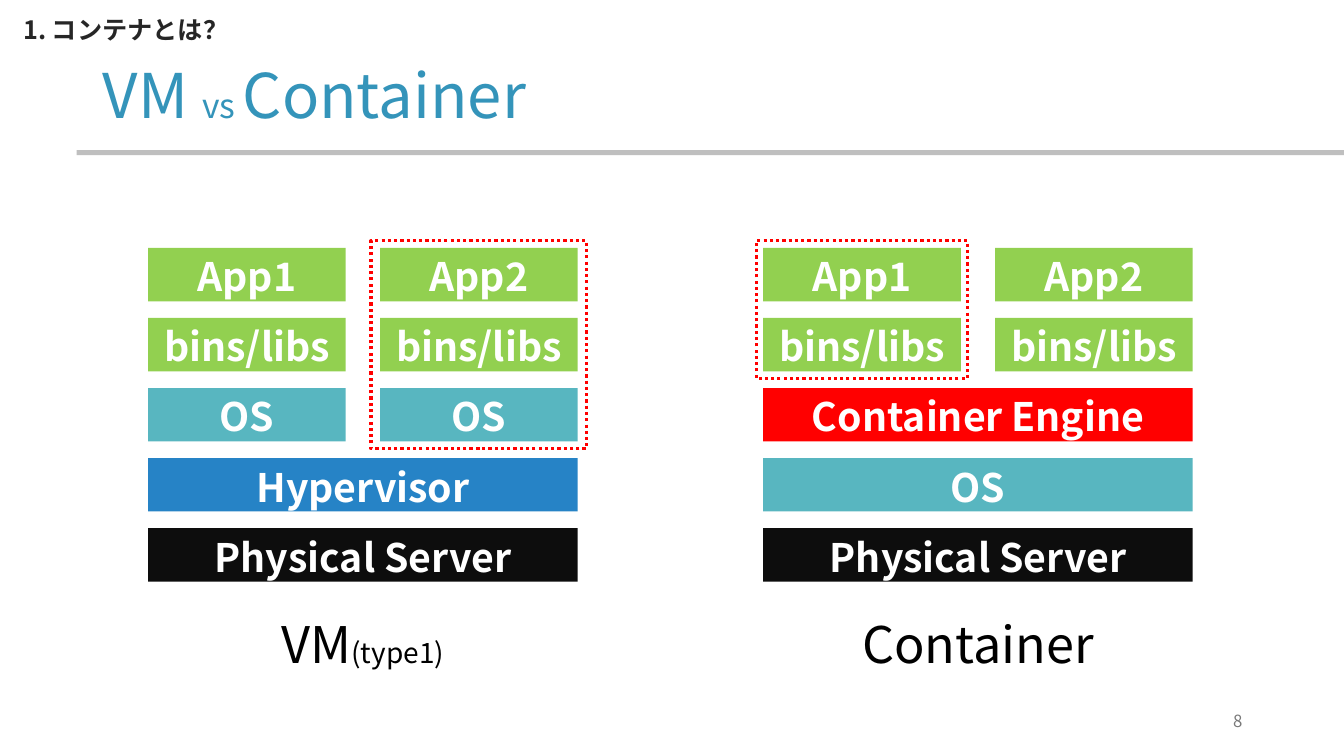
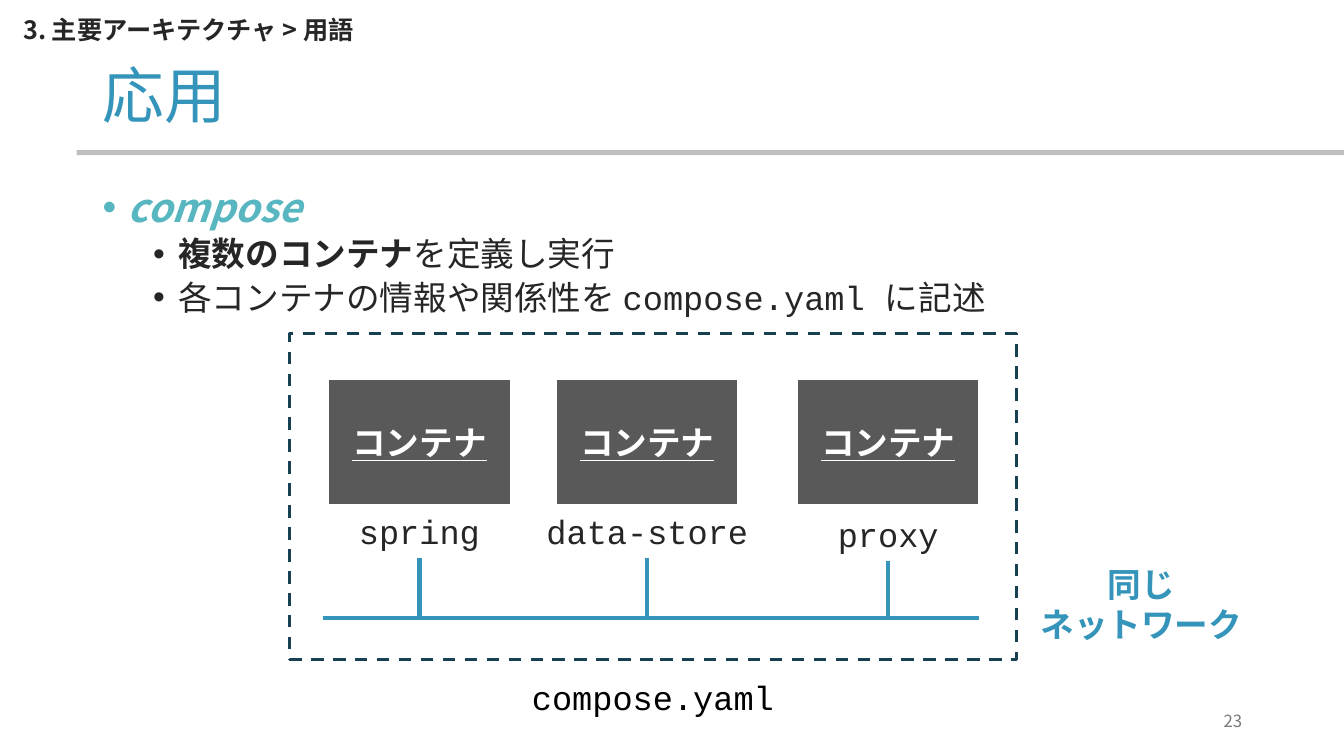
from dataclasses import dataclass
from typing import NamedTuple, Sequence

from lxml import etree
from pptx import Presentation
from pptx import util as u
from pptx.dml.color import RGBColor
from pptx.enum import dml, shapes, text
from pptx.oxml.ns import qn


@dataclass(frozen=True)
class Theme:
    """Colours, fonts, and type sizes in points."""
    accent: str = "3494BA"
    teal: str = "58B6C0"
    blue: str = "2683C6"
    green: str = "92D050"
    red: str = "FF0000"
    near_black: str = "0D0D0D"
    black: str = "000000"
    ink: str = "262626"
    dark_gray: str = "595959"
    page_gray: str = "797979"
    rule_gray: str = "BFBFBF"
    navy: str = "174152"
    white: str = "FFFFFF"
    sans: str = "Noto Sans CJK JP"
    mono: str = "Courier New"
    title: int = 44
    caption: int = 36
    heading: int = 28
    body: int = 24
    note: int = 20
    section: int = 18
    page: int = 12


THEME = Theme()
WIDTH, HEIGHT = 13.33, 7.5
ALIGN = text.PP_ALIGN
ANCHOR = text.MSO_ANCHOR
DASH = dml.MSO_LINE


class Box(NamedTuple):
    left: float
    top: float
    width: float
    height: float

    @property
    def emu(self) -> list[int]:
        return [u.Inches(length) for length in self]

    def grown(self, x: float, y: float) -> "Box":
        return Box(self.left - x, self.top - y, self.width + 2 * x, self.height + 2 * y)


@dataclass(frozen=True)
class Run:
    """Text whose unset format comes from the call that writes it."""
    text: str
    size: int | None = None
    color: str | None = None
    font: str | None = None
    bold: bool | None = None
    italic: bool | None = None


@dataclass(frozen=True)
class Grid:
    left: float
    top: float
    column_pitch: float
    row_pitch: float
    cell_width: float
    cell_height: float

    def box(self, column: int, row: int, columns: int = 1, rows: int = 1) -> Box:
        return Box(self.left + column * self.column_pitch,
                   self.top + row * self.row_pitch,
                   (columns - 1) * self.column_pitch + self.cell_width,
                   (rows - 1) * self.row_pitch + self.cell_height)


class Layer(NamedTuple):
    labels: Sequence[str]
    color: str


class Stack(NamedTuple):
    left: float
    layers: Sequence[Layer]
    caption: Sequence[Run]
    framed_column: int
    framed_rows: int
    frame_margin: float


class Service(NamedTuple):
    name: str
    center: float
    drop: float  # how far the label and its link sit below the row


APP = Layer(("App1", "App2"), THEME.green)
LIBS = Layer(("bins/libs", "bins/libs"), THEME.green)
SERVER = Layer(("Physical Server",), THEME.near_black)
STACKS = (
    Stack(1.47,
          (APP, LIBS, Layer(("OS", "OS"), THEME.teal),
           Layer(("Hypervisor",), THEME.blue), SERVER),
          (Run("VM"), Run("(type1)", size=THEME.note)), 1, 3, 0.09),
    Stack(7.57,
          (APP, LIBS, Layer(("Container Engine",), THEME.red),
           Layer(("OS",), THEME.teal), SERVER),
          (Run("Container"),), 0, 2, 0.07),
)
SERVICES = (
    Service("spring", 4.16, 0),
    Service("data-store", 6.42, 0),
    Service("proxy", 8.81, 0.03),
)


def rgb(color: str) -> RGBColor:
    return RGBColor.from_string(color)


def write_text(shape, paragraphs: Sequence[Sequence[Run]], *, size: int,
               color: str = THEME.ink, font: str = THEME.sans, bold: bool = False,
               italic: bool = False, underline: bool = False, align=ALIGN.LEFT,
               anchor=ANCHOR.TOP, left_inset: float = 0.1, top_inset: float = 0.05,
               line_spacing: float = 1.0) -> None:
    frame = shape.text_frame
    frame.word_wrap = True
    frame.vertical_anchor = anchor
    frame.margin_left, frame.margin_top = u.Inches(left_inset), u.Inches(top_inset)
    for index, runs in enumerate(paragraphs):
        paragraph = frame.add_paragraph() if index else frame.paragraphs[0]
        paragraph.alignment = align
        paragraph.line_spacing = line_spacing
        for item in runs:
            run = paragraph.add_run()
            run.text = item.text
            style = run.font
            style.size = u.Pt(item.size or size)
            style.name = item.font or font
            style.color.rgb = rgb(item.color or color)
            style.bold = bold if item.bold is None else item.bold
            style.italic = italic if item.italic is None else item.italic
            style.underline = underline
            east_asian = etree.Element(qn("a:ea"), typeface=THEME.sans)
            run._r.rPr.find(qn("a:latin")).addnext(east_asian)


def add_text(slide, box: Box, *paragraphs: Sequence[Run], **style):
    shape = slide.shapes.add_textbox(*box.emu)
    write_text(shape, paragraphs, **style)
    return shape


def add_rectangle(slide, box: Box, *, fill: str | None = None, line: str | None = None,
                  dash=None):
    shape = slide.shapes.add_shape(shapes.MSO_SHAPE.RECTANGLE, *box.emu)
    shape.shadow.inherit = False
    if fill:
        shape.fill.solid()
        shape.fill.fore_color.rgb = rgb(fill)
    else:
        shape.fill.background()
    if line:
        shape.line.color.rgb = rgb(line)
        shape.line.width = u.Pt(2.25)
        shape.line.dash_style = dash
    else:
        shape.line.fill.background()
    return shape


def add_line(slide, x1: float, y1: float, x2: float, y2: float) -> None:
    ends = [u.Inches(length) for length in (x1, y1, x2, y2)]
    line = slide.shapes.add_connector(shapes.MSO_CONNECTOR.STRAIGHT, *ends)
    line.line.color.rgb = rgb(THEME.accent)
    line.line.width = u.Pt(3)
    etree.SubElement(line._element.spPr, qn("a:effectLst"))


def add_bullet(paragraph, level: int) -> None:
    paragraph.level = level
    paragraph.space_before = u.Pt(5 if level else 10)
    properties = paragraph._p.get_or_add_pPr()
    properties.set("marL", str(u.Inches(0.25 + 0.5 * level)))
    properties.set("indent", str(u.Inches(-0.25)))
    etree.SubElement(properties, qn("a:buFont"), typeface="Arial")
    etree.SubElement(properties, qn("a:buChar"), char="•")


def add_base_slide(presentation, section: str, title: Sequence[Run], page: int):
    """Add a slide with the section name, title, rule and page number."""
    slide = presentation.slides.add_slide(presentation.slide_layouts[6])
    add_rectangle(slide, Box(0.76, 1.49, WIDTH - 0.76, 0.05), fill=THEME.rule_gray)
    add_text(slide, Box(0.92, 0.4, 11.5, 1.09), title, size=THEME.title,
             color=THEME.accent, anchor=ANCHOR.MIDDLE, top_inset=0.12, line_spacing=0.9)
    add_text(slide, Box(0.08, 0.09, 4.02, 0.4), [Run(section)], size=THEME.section,
             bold=True, left_inset=0.15)
    add_text(slide, Box(9.42, 6.95, 3, 0.4), [Run(str(page))], size=THEME.page,
             color=THEME.page_gray, align=ALIGN.RIGHT, anchor=ANCHOR.MIDDLE)
    return slide


def draw_stack(slide, stack: Stack) -> None:
    grid = Grid(stack.left, 2.46, 2.3, (5.24 - 2.46) / 4, 1.96, 0.53)
    for row, layer in enumerate(stack.layers):
        span = 2 // len(layer.labels)
        for column, label in enumerate(layer.labels):
            block = add_rectangle(slide, grid.box(column, row, span), fill=layer.color)
            write_text(block, [[Run(label)]], size=THEME.heading, color=THEME.white,
                       bold=True, align=ALIGN.CENTER, anchor=ANCHOR.MIDDLE,
                       top_inset=0.08)
    full_width = grid.box(0, 0, 2).width
    add_text(slide, Box(stack.left, 6.03, full_width, 0.71), stack.caption,
             size=THEME.caption, color=THEME.black, align=ALIGN.CENTER)
    framed = grid.box(stack.framed_column, 0, rows=stack.framed_rows)
    add_rectangle(slide, framed.grown(stack.frame_margin, 0.07), line=THEME.red,
                  dash=DASH.ROUND_DOT)


def draw_service(slide, service: Service) -> None:
    box = Box(service.center - 0.91, 3.75, 1.82, 1.27)
    container = add_rectangle(slide, box, fill=THEME.dark_gray, line=THEME.white)
    write_text(container, [[Run("コンテナ")]], size=THEME.body, color=THEME.white,
               bold=True, underline=True, align=ALIGN.CENTER, anchor=ANCHOR.MIDDLE)
    add_text(slide, Box(service.center - 1.1, 5.02 + service.drop, 2.2, 0.5),
             [Run(service.name)], size=THEME.body, font=THEME.mono, align=ALIGN.CENTER)
    add_line(slide, service.center, 5.54 + service.drop, service.center, 6.13)


def build_comparison(presentation) -> None:
    title = (Run("VM "), Run("vs ", size=THEME.body), Run("Container"))
    slide = add_base_slide(presentation, "1. コンテナとは？", title, 8)
    for stack in STACKS:
        draw_stack(slide, stack)


def build_compose(presentation) -> None:
    slide = add_base_slide(presentation, "3. 主要アーキテクチャ > 用語", [Run("応用")], 23)
    add_rectangle(slide, Box(2.87, 3.31, 7.21, 3.23), line=THEME.navy, dash=DASH.DASH)
    body = add_text(
        slide, Box(0.92, 1.82, 11.5, 1.4),
        [Run("compose", size=THEME.heading, color=THEME.teal, bold=True, italic=True)],
        [Run("複数のコンテナ", bold=True), Run("を定義し実行")],
        [Run("各コンテナの情報や関係性を "), Run("compose.yaml ", font=THEME.mono),
         Run("に記述")],
        size=THEME.body, line_spacing=0.9)
    for paragraph, level in zip(body.text_frame.paragraphs, (0, 1, 1)):
        add_bullet(paragraph, level)
    for service in SERVICES:
        draw_service(slide, service)
    add_line(slide, 3.2, 6.13, 9.71, 6.13)
    add_text(slide, Box(5.17, 6.67, 2.61, 0.5), [Run("compose.yaml")], size=THEME.body,
             color=THEME.black, font=THEME.mono, align=ALIGN.CENTER)
    add_text(slide, Box(10.08, 5.54, 2.48, 0.91), [Run("同じ")], [Run("ネットワーク")],
             size=THEME.body, color=THEME.accent, font=THEME.mono, bold=True,
             align=ALIGN.CENTER)


def main() -> None:
    presentation = Presentation()
    presentation.slide_width = u.Inches(WIDTH)
    presentation.slide_height = u.Inches(HEIGHT)
    build_comparison(presentation)
    build_compose(presentation)
    presentation.save("out.pptx")


if __name__ == "__main__":
    main()
